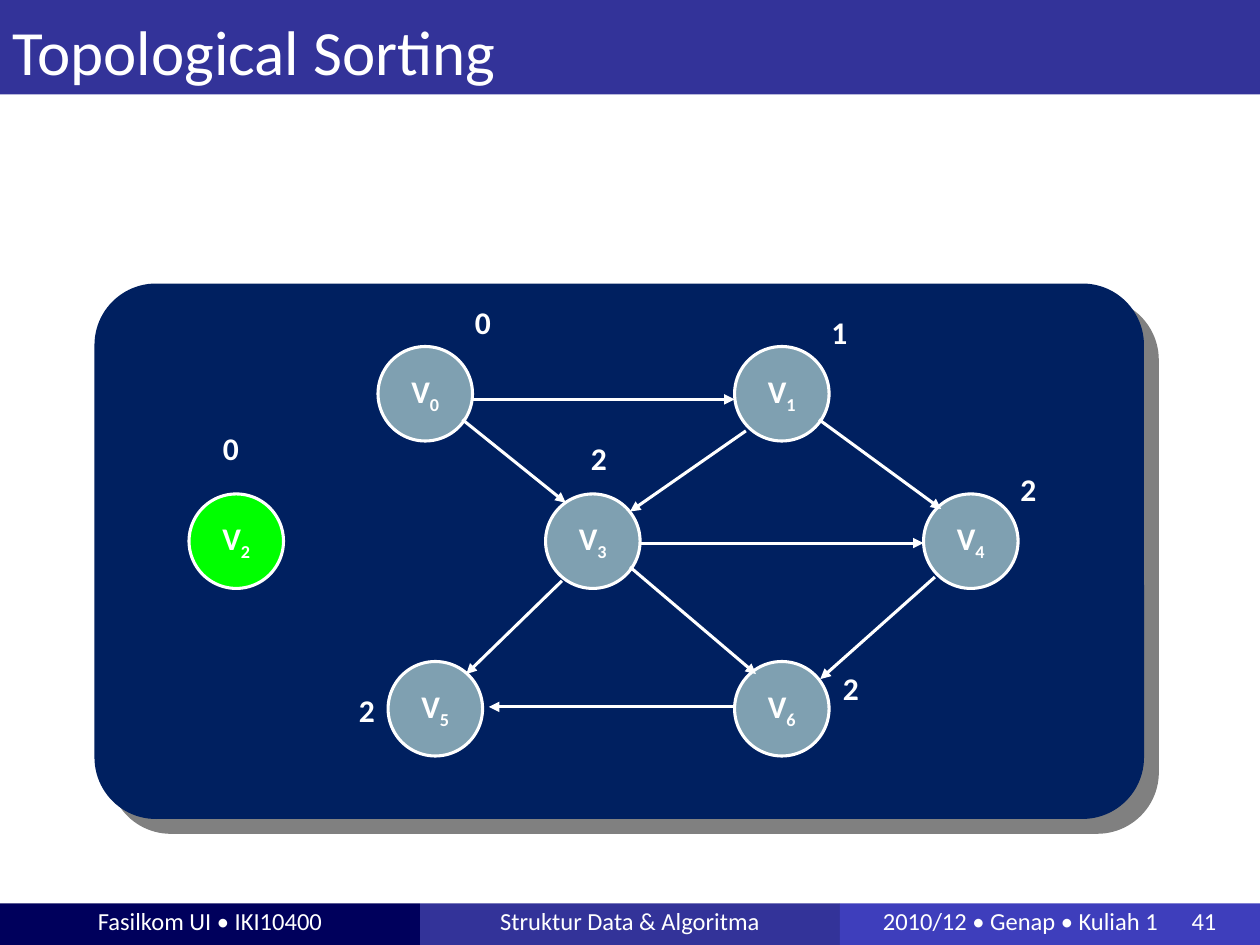
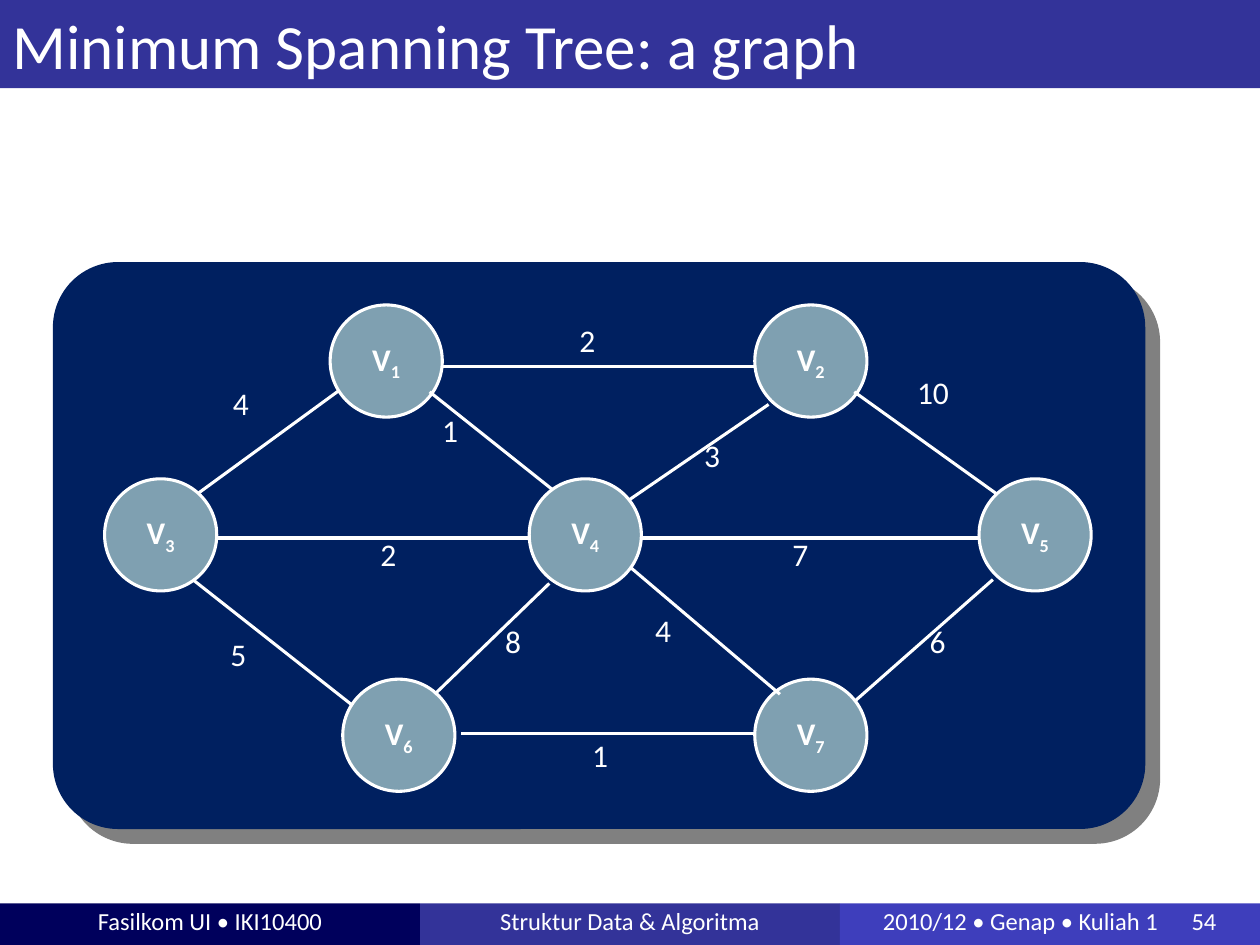
import pptx
import pptx.dml.color
import pptx.enum.shapes
import pptx.enum.text
import pptx.oxml
import pptx.oxml.ns
import pptx.util
from lxml import etree

Inches = pptx.util.Inches
Pt = pptx.util.Pt
SHAPE = pptx.enum.shapes.MSO_SHAPE
ALIGN = pptx.enum.text.PP_ALIGN
ANCHOR = pptx.enum.text.MSO_ANCHOR

FONT = "Calibri"
WHITE = "FFFFFF"
TITLE_BLUE = "333399"
PANEL_NAVY = "002060"
NODE_GREY = "7FA0B1"
VISITED_GREEN = "00FF00"
SHADOW_GREY = "808080"
FOOTER_BANDS = [
    ("00005C", "Fasilkom UI • IKI10400"),
    (TITLE_BLUE, "Struktur Data & Algoritma"),
    ("3E3EBC", "2010/12 • Genap • Kuliah 1"),
]
BAND_WIDTH = 10 / 3
LINE_WIDTH = 1.75

SORTING_NODES = {
    "0": (3, 2.75), "1": (5.83, 2.75), "2": (1.5, 3.92), "3": (4.33, 3.92),
    "4": (7.33, 3.92), "5": (3.08, 5.25), "6": (5.83, 5.25),
}
SORTING_EDGES = [
    (5.04, 4.31, 7.33, 4.31), (5.96, 5.61, 3.88, 5.61), (3.75, 3.17, 5.83, 3.17),
    (7.42, 4.58, 6.51, 5.39), (6.5, 3.33, 7.47, 4.04), (3.67, 3.33, 4.49, 3.99),
    (5, 4.5, 6, 5.35), (5.92, 3.42, 5, 4.06), (4.46, 4.61, 3.7, 5.35),
]
INDEGREES = [
    ("0", 1.67, 3.42), ("0", 3.67, 2.42), ("1", 6.5, 2.5), ("2", 8, 3.75),
    ("2", 6.59, 5.33), ("2", 4.59, 3.5), ("2", 2.75, 5.5),
]
SPANNING_NODES = {
    "1": (2.62, 2.42), "2": (5.99, 2.42), "3": (0.83, 3.8), "4": (4.2, 3.8),
    "5": (7.77, 3.8), "6": (2.72, 5.39), "7": (5.99, 5.39),
}
SPANNING_EDGES = [
    (5.05, 4.27, 7.77, 4.27), (1.73, 4.27, 4.52, 4.27), (3.66, 5.82, 6.14, 5.82),
    (3.51, 2.91, 5.99, 2.91), (1.53, 4.6, 2.8, 5.6), (1.58, 3.91, 2.69, 3.1),
    (7.88, 4.6, 6.79, 5.56), (6.78, 3.11, 7.91, 3.92), (3.41, 3.11, 4.39, 3.89),
    (5, 4.5, 6.19, 5.51), (6.1, 3.21, 4.99, 3.97), (4.36, 4.63, 3.45, 5.51),
]
WEIGHTS = [
    ("2", 4.5, 2.5), ("3", 5.49, 3.41), ("10", 7.18, 2.91), ("6", 7.28, 4.89),
    ("7", 6.19, 4.2), ("2", 2.92, 4.2), ("4", 1.75, 3), ("5", 1.73, 4.99),
    ("1", 4.6, 5.79), ("8", 3.91, 4.89), ("4", 5.1, 4.8), ("1", 3.41, 3.21),
]


def colour(hex_string):
    return pptx.dml.color.RGBColor.from_string(hex_string)


def add_element(parent, tag, **attributes):
    return etree.SubElement(parent, pptx.oxml.ns.qn(tag), **attributes)


def add_run(paragraph, text, size=18, bold=False):
    run = paragraph.add_run()
    run.text = text
    run.font.name = FONT
    run.font.size = Pt(size)
    run.font.bold = bold
    run.font.color.rgb = colour(WHITE)
    return run


def add_filled(slide, kind, left, top, width, height, fill):
    shape = slide.shapes.add_shape(
        kind, Inches(left), Inches(top), Inches(width), Inches(height))
    shape.shadow.inherit = False
    shape.fill.solid()
    shape.fill.fore_color.rgb = colour(fill)
    shape.line.fill.background()
    shape.text_frame.vertical_anchor = ANCHOR.MIDDLE
    return shape


def add_title(slide, text, height, spacing):
    band = add_filled(slide, SHAPE.RECTANGLE, 0, 0, 10, height, TITLE_BLUE)
    paragraph = band.text_frame.paragraphs[0]
    paragraph.alignment = ALIGN.LEFT
    paragraph.line_spacing = spacing
    add_run(paragraph, text, 36)


def add_footer(slide, page):
    for index, (fill, text) in enumerate(FOOTER_BANDS):
        band = add_filled(slide, SHAPE.RECTANGLE, index * BAND_WIDTH, 7.17,
                          BAND_WIDTH, 0.33, fill)
        band.text_frame.margin_top = 0
        paragraph = band.text_frame.paragraphs[0]
        paragraph.alignment = ALIGN.CENTER
        add_run(paragraph, text, 14)
    band.text_frame.margin_left = Inches(0.34)
    paragraph.alignment = ALIGN.LEFT
    tabs = add_element(paragraph._p.get_or_add_pPr(), "a:tabLst")
    add_element(tabs, "a:tab", pos=str(Inches(2.45)), algn="l")
    add_run(paragraph, f"\t{page}", 14)


def add_panel(slide, left, top, width, height):
    panel = add_filled(slide, SHAPE.ROUNDED_RECTANGLE, left, top, width, height,
                       PANEL_NAVY)
    panel.adjustments[0] = 0.115
    effects = panel._element.spPr.find(pptx.oxml.ns.qn("a:effectLst"))
    shadow = add_element(effects, "a:outerShdw", dist=str(Pt(12)),
                         dir=str(45 * 60000), algn="ctr", rotWithShape="0")
    add_element(shadow, "a:srgbClr", val=SHADOW_GREY)


def add_node(slide, number, corner, diameter, fill, spacing):
    node = add_filled(slide, SHAPE.OVAL, *corner, diameter, diameter, fill)
    node.line.color.rgb = colour(WHITE)
    node.line.width = Pt(LINE_WIDTH)
    node.text_frame.word_wrap = False
    paragraph = node.text_frame.paragraphs[0]
    paragraph.alignment = ALIGN.CENTER
    paragraph.line_spacing = spacing
    add_run(paragraph, "V", bold=True)
    subscript = add_run(paragraph, number, bold=True)
    subscript._r.get_or_add_rPr().set("baseline", "-25000")


def add_edge(slide, ends, directed):
    edge = slide.shapes.add_connector(
        pptx.enum.shapes.MSO_CONNECTOR.STRAIGHT, *map(Inches, ends))
    edge.line.color.rgb = colour(WHITE)
    edge.line.width = Pt(LINE_WIDTH)
    if directed:
        add_element(edge.line._get_or_add_ln(), "a:tailEnd", type="triangle")
    add_element(edge._element.spPr, "a:effectLst")


def add_label(slide, text, left, top, bold, spacing):
    width = 0.19 + 0.19 * len(text)
    box = slide.shapes.add_textbox(
        Inches(left), Inches(top), Inches(width), Inches(0.41))
    box.text_frame.word_wrap = True
    paragraph = box.text_frame.paragraphs[0]
    paragraph.line_spacing = spacing
    add_run(paragraph, text, bold=bold)


def add_graph(slide, nodes, edges, labels, diameter, directed, spacing, visited=()):
    level = [edge for edge in edges if edge[1] == edge[3]]
    slanted = [edge for edge in edges if edge[1] != edge[3]]
    for edge in level:
        add_edge(slide, edge, directed)
    for number, corner in nodes.items():
        fill = VISITED_GREEN if number in visited else NODE_GREY
        add_node(slide, number, corner, diameter, fill, spacing)
    for edge in slanted:
        add_edge(slide, edge, directed)
    for text, left, top in labels:
        add_label(slide, text, left, top, directed, spacing)


def main():
    deck = pptx.Presentation()
    deck.slide_width = Inches(10)
    deck.slide_height = Inches(7.5)
    blank = deck.slide_layouts[6]

    sorting = deck.slides.add_slide(blank)
    add_footer(sorting, 41)
    add_panel(sorting, 0.75, 2.25, 8.33, 4.25)
    add_graph(sorting, SORTING_NODES, SORTING_EDGES, INDEGREES, diameter=0.75,
              directed=True, spacing=0.76, visited=("2",))
    add_title(sorting, "Topological Sorting", 0.75, 1.08)

    spanning = deck.slides.add_slide(blank)
    add_footer(spanning, 54)
    add_panel(spanning, 0.42, 2.08, 8.67, 4.5)
    add_graph(spanning, SPANNING_NODES, SPANNING_EDGES, WEIGHTS, diameter=0.89,
              directed=False, spacing=1.0)
    add_title(spanning, "Minimum Spanning Tree: a graph", 0.7, 1.0)

    deck.save("out.pptx")


if __name__ == "__main__":
    main()
